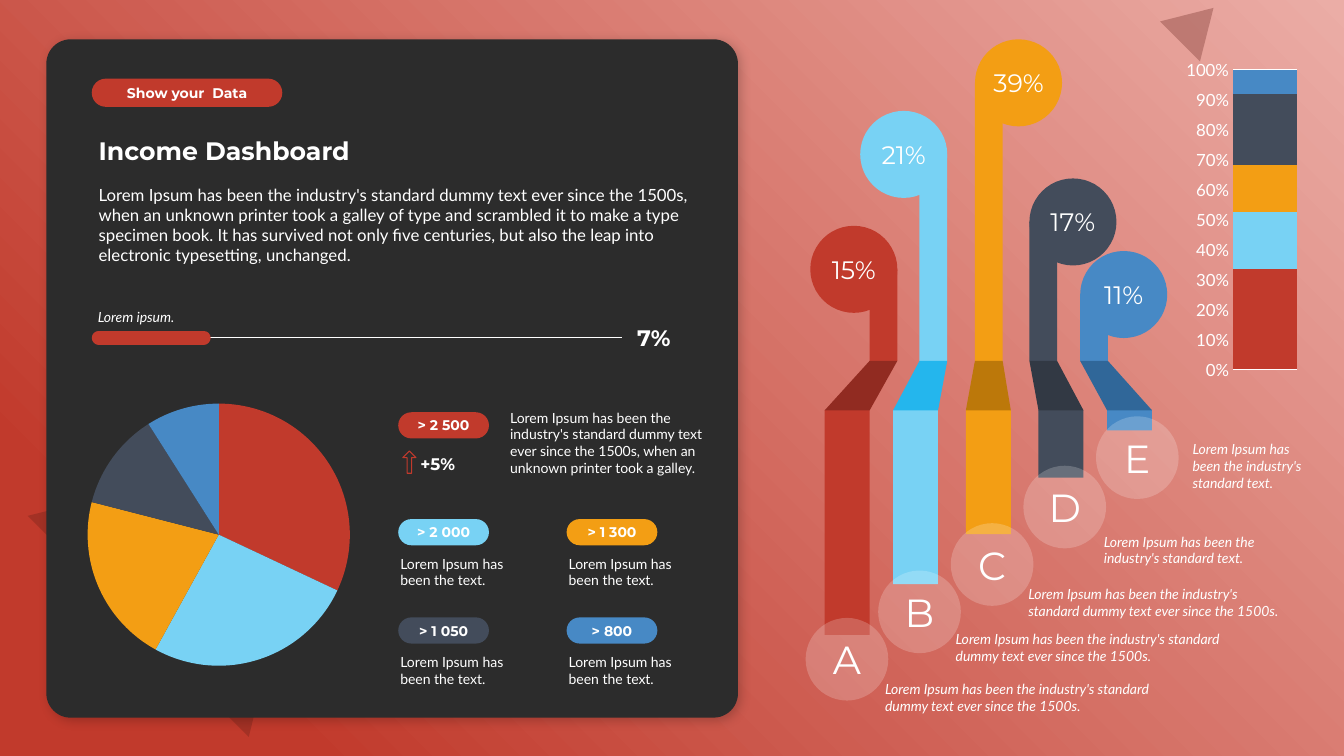
import lxml.etree
import pptx
import pptx.chart.data
import pptx.dml.color
import pptx.enum.chart
import pptx.enum.dml
import pptx.enum.shapes
import pptx.enum.text
import pptx.oxml.ns
import pptx.util

CELL = 7.5 / 90
COLS, ROWS = 160, 90
HEX = {
    "red": "C13A2C", "sky": "78D2F4", "gold": "F39E14", "slate": "434C5B",
    "blue": "4789C5", "white": "FFFFFF", "dark": "2C2C2C", "rose": "EBADA6",
    "wine": "601D16", "black": "000000",
    "red fold": "912B21", "sky fold": "24B6ED", "gold fold": "BC780A",
    "slate fold": "323944", "blue fold": "306799",
}
TONES = ["red", "sky", "gold", "slate", "blue"]
KIND = pptx.enum.shapes.MSO_SHAPE
ALIGN = pptx.enum.text.PP_ALIGN
ANCHOR = pptx.enum.text.MSO_ANCHOR
SANS, HEAD = "Lato", "Montserrat"
SIDES = (0, 0.05, 0, 0.05)
FOLD_TOP, FOLD_END = 42.96, 48.84
STEM, BASE, BALL, BADGE = 3.3, 5.35, 10.36, 9.84


def span(*cells):
    return [pptx.util.Inches(cell * CELL) for cell in cells]


def tint(name):
    return pptx.dml.color.RGBColor.from_string(HEX[name])


def add_node(root, tag, **attrs):
    node = lxml.etree.SubElement(root, pptx.oxml.ns.qn(tag))
    for key, value in attrs.items():
        node.set(key, str(value))
    return node


def paint(shape, tone, alpha=None):
    shape.shadow.inherit = False
    shape.line.fill.background()
    shape.fill.solid()
    shape.fill.fore_color.rgb = tint(tone)
    if alpha:
        color = shape._element.spPr.find(".//" + pptx.oxml.ns.qn("a:srgbClr"))
        add_node(color, "a:alpha", val=alpha * 1000)


def write(shape, words, size, face=SANS, bold=False, slant=False, align=ALIGN.LEFT,
          anchor=ANCHOR.TOP, inset=(0.1, 0.05, 0.1, 0.05), after=0):
    frame = shape.text_frame
    frame.text = words
    frame.word_wrap = True
    frame.vertical_anchor = anchor
    (frame.margin_left, frame.margin_top,
     frame.margin_right, frame.margin_bottom) = map(pptx.util.Inches, inset)
    line = frame.paragraphs[0]
    line.alignment = align
    line.space_after = pptx.util.Pt(after)
    font = line.runs[0].font
    font.name, font.size = face, pptx.util.Pt(size)
    font.bold, font.italic = bold, slant
    font.color.rgb = tint("white")


def add_text(slide, box, words, size, **style):
    shape = slide.shapes.add_textbox(*span(*box))
    write(shape, words, size, **style)
    shape.text_frame.auto_size = pptx.enum.text.MSO_AUTO_SIZE.SHAPE_TO_FIT_TEXT


def add_block(slide, kind, box, tone, alpha=None, turn=0):
    shape = slide.shapes.add_shape(kind, *span(*box))
    paint(shape, tone, alpha)
    shape.rotation = turn
    return shape


def add_pill(slide, box, tone, words):
    shape = add_block(slide, KIND.ROUNDED_RECTANGLE, box, tone)
    shape.adjustments[0] = 0.5
    write(shape, words, 10, face=HEAD, bold=True, align=ALIGN.CENTER,
          anchor=ANCHOR.MIDDLE, inset=(0, 0, 0, 0))


def add_disc(slide, left, top, width, tone, words, size, alpha=None):
    disc = add_block(slide, KIND.OVAL, (left, top, width, width), tone, alpha)
    write(disc, words, size, face=HEAD, align=ALIGN.CENTER,
          anchor=ANCHOR.MIDDLE, inset=SIDES)


def add_rule(slide, start, end, row, tone, weight):
    rule = slide.shapes.add_connector(
        pptx.enum.shapes.MSO_CONNECTOR.STRAIGHT, *span(start, row, end, row))
    rule.line.color.rgb = tint(tone)
    rule.line.width = pptx.util.Pt(weight)
    add_node(rule._element.spPr, "a:effectLst")
    return rule


def add_back(slide):
    back = add_block(slide, KIND.RECTANGLE, (0, 0, COLS, ROWS), "red")
    props = back._element.spPr
    props.remove(props.find(pptx.oxml.ns.qn("a:solidFill")))
    grad = add_node(props, "a:gradFill", rotWithShape=1)
    stops = add_node(grad, "a:gsLst")
    for place, tone in ((0, "rose"), (85, "red")):
        add_node(add_node(stops, "a:gs", pos=place * 1000), "a:srgbClr", val=HEX[tone])
    round_fill = add_node(grad, "a:path", path="circle")
    add_node(round_fill, "a:fillToRect", l=100000, b=100000)
    props.insert(2, grad)
    for box in ((8.76, 48.24, 37.2, 30.84), (139.08, 0.12, 6.72, 5.64)):
        add_block(slide, KIND.ISOSCELES_TRIANGLE, box, "wine", 30, 45)


def add_panel(slide):
    panel = add_block(slide, KIND.ROUNDED_RECTANGLE, (5.52, 4.68, 82.32, 80.76), "dark")
    panel.adjustments[0] = 0.036
    glow = add_node(panel._element.spPr.find(pptx.oxml.ns.qn("a:effectLst")),
                    "a:outerShdw", blurRad=pptx.util.Pt(8), dist=pptx.util.Pt(3),
                    dir=45 * 60000, algn="tl", rotWithShape=0)
    add_node(add_node(glow, "a:srgbClr", val=HEX["black"]), "a:alpha", val=20000)


def add_arrow(slide):
    arrow = slide.shapes.add_shape(KIND.UP_ARROW, *span(47.95, 53.7, 1.56, 2.64))
    arrow.shadow.inherit = False
    arrow.fill.background()
    arrow.line.color.rgb = tint("red")
    arrow.line.width = pptx.util.Pt(0.75)
    arrow.adjustments[0], arrow.adjustments[1] = 0.35, 0.5


def add_graph(slide, kind, box, names, series, size, plot_box):
    data = pptx.chart.data.CategoryChartData()
    data.categories = names
    for rank, values in enumerate(series, 1):
        data.add_series(f"Series {rank}", values)
    chart = slide.shapes.add_chart(kind, *span(*box), data).chart
    chart.has_legend = chart.has_title = False
    chart.font.name, chart.font.size = SANS, pptx.util.Pt(size)
    chart.font.color.rgb = tint("white")
    area = chart._chartSpace.chart.plotArea
    place = area.find(pptx.oxml.ns.qn("c:layout"))
    if place is None:
        place = add_node(area, "c:layout")
        area.insert(0, place)
    grid = add_node(place, "c:manualLayout")
    add_node(grid, "c:layoutTarget", val="inner")
    for tag in ("xMode", "yMode"):
        add_node(grid, "c:" + tag, val="edge")
    for tag, share in zip("xywh", plot_box):
        add_node(grid, "c:" + tag, val=share)
    return chart


def shade(marks):
    for mark, tone in zip(marks, TONES):
        mark.format.fill.solid()
        mark.format.fill.fore_color.rgb = tint(tone)
        mark.format.line.fill.background()


def add_pie(slide):
    types = pptx.enum.chart.XL_CHART_TYPE
    chart = add_graph(slide, types.PIE, (7.2, 46.32, 37.68, 34.68), list("12345"),
                      [[32, 26, 21, 12, 9]], 10, (0.08, 0.05, 0.84, 0.9))
    wedges = chart.plots[0].series[0].points
    shade(wedges[rank] for rank in range(5))


def add_stack(slide):
    types = pptx.enum.chart.XL_CHART_TYPE
    chart = add_graph(slide, types.COLUMN_STACKED_100, (141, 6.36, 13.68, 39.6), ["1"],
                      [[34], [19], [16], [24], [8]], 12, (0.42, 0.05, 0.56, 0.9))
    plot = chart.plots[0]
    plot.gap_width, plot.overlap, plot.vary_by_categories = 0, 100, False
    shade(plot.series)
    chart.category_axis.visible = False
    axis = chart.value_axis
    axis.major_tick_mark = pptx.enum.chart.XL_TICK_MARK.NONE
    axis.format.line.fill.background()
    axis.tick_labels.number_format = "0%"
    axis.tick_labels.number_format_is_linked = False
    grid = axis.major_gridlines.format.line
    grid.color.rgb = tint("white")
    grid.width = pptx.util.Pt(0.75)


def add_column(slide, rank, share, stem, lean, ball, base, foot, badge, note):
    tone = TONES[rank]
    mid = ball + BALL / 2
    add_block(slide, KIND.RECTANGLE, (stem, mid, STEM, FOLD_TOP - mid), tone)
    add_block(slide, KIND.RECTANGLE, (base, FOLD_END, BASE, foot - FOLD_END), tone)
    edge = [(stem + STEM, FOLD_TOP), (base + BASE, FOLD_END), (base, FOLD_END), (stem, FOLD_TOP)]
    pen = slide.shapes.build_freeform(*span(*edge[0]))
    pen.add_line_segments([span(*spot) for spot in edge[1:]], close=True)
    paint(pen.convert_to_shape(), tone + " fold")
    add_disc(slide, stem + lean * (STEM - BALL), ball, BALL, tone, share, 18)
    add_disc(slide, 95.88 + 8.64 * rank, badge, BADGE, "white", "ABCDE"[rank], 28, 20)
    box, words = note
    add_text(slide, box, words, 10, slant=True, after=6)


def main():
    deck = pptx.Presentation()
    deck.slide_width, deck.slide_height = pptx.util.Inches(13.33), pptx.util.Inches(7.5)
    slide = deck.slides.add_slide(deck.slide_layouts[6])
    add_back(slide)
    add_panel(slide)
    add_pill(slide, (10.92, 9.36, 22.68, 3.36), "red", "Show your  Data")
    add_text(slide, (10.56, 15.48, 73.92, 4.8), "Income Dashboard", 18, face=HEAD,
             bold=True, anchor=ANCHOR.BOTTOM)
    add_text(slide, (10.56, 21.36, 73.92, 10.92), "Lorem Ipsum has been the industry's standard dummy text ever since the 1500s, when an unknown printer took a galley of type and scrambled it to make a type specimen book. It has survived not only five centuries, but also the leap into electronic typesetting, unchanged.", 12, after=6)
    add_rule(slide, 11.04, 74.04, 40.2, "white", 0.5)
    meter = add_rule(slide, 11.76, 24.24, 40.2, "red", 10)
    meter.line._get_or_add_ln().set("cap", "rnd")
    add_text(slide, (74.64, 37.92, 11.4, 4.44), "7%", 16, face=HEAD, bold=True, anchor=ANCHOR.MIDDLE)
    add_text(slide, (10.68, 36.12, 23.04, 3.24), "Lorem ipsum.", 10, slant=True,
             anchor=ANCHOR.BOTTOM, inset=(0.08, 0.05, 0.1, 0.05))
    add_pie(slide)
    add_pill(slide, (47.4, 49.08, 10.8, 3.12), "red", "> 2 500")
    add_arrow(slide)
    add_text(slide, (50.04, 53.4, 15.24, 3.6), "+5%", 12, face=HEAD, bold=True, inset=SIDES)
    add_text(slide, (60.72, 48.12, 25.2, 9.24), "Lorem Ipsum has been the industry's standard dummy text ever since the 1500s, when an unknown printer took a galley.", 10, inset=SIDES)
    for rank, words in enumerate(["> 2 000", "> 1 300", "> 1 050", "> 800"]):
        left, top = 47.4 + 20.04 * (rank % 2), 61.8 + 11.7 * (rank // 2)
        add_pill(slide, (left, top, 10.8, 3.12), TONES[rank + 1], words)
        add_text(slide, (left + 0.24, top + 3.7, 15.72, 5.28), "Lorem Ipsum has been the text.", 10, inset=SIDES)
    brief = "Lorem Ipsum has been the industry's standard text."
    full = "Lorem Ipsum has been the industry's standard dummy text ever since the 1500s."
    columns = [
        ("15%", 103.5, 1, 26.88, 98.16, 75.6, 73.56, ((104.16, 80.4, 36.6, 5.28), full)),
        ("21%", 109.44, 1, 13.2, 106.3, 69.54, 67.92, ((112.56, 74.52, 36.6, 5.28), full)),
        ("39%", 116.04, 0, 4.68, 114.96, 63.6, 62.28, ((121.2, 69.12, 32.52, 5.28), full)),
        ("17%", 122.52, 0, 21.24, 123.6, 56.88, 55.44, ((130.2, 62.88, 23.4, 5.28), brief)),
        ("11%", 128.56, 0, 29.88, 131.76, 51.24, 49.56, ((140.76, 51.84, 17.16, 7.32), brief)),
    ]
    for rank, column in reversed(list(enumerate(columns))):
        add_column(slide, rank, *column)
    add_stack(slide)
    deck.save("out.pptx")


if __name__ == "__main__":
    main()
